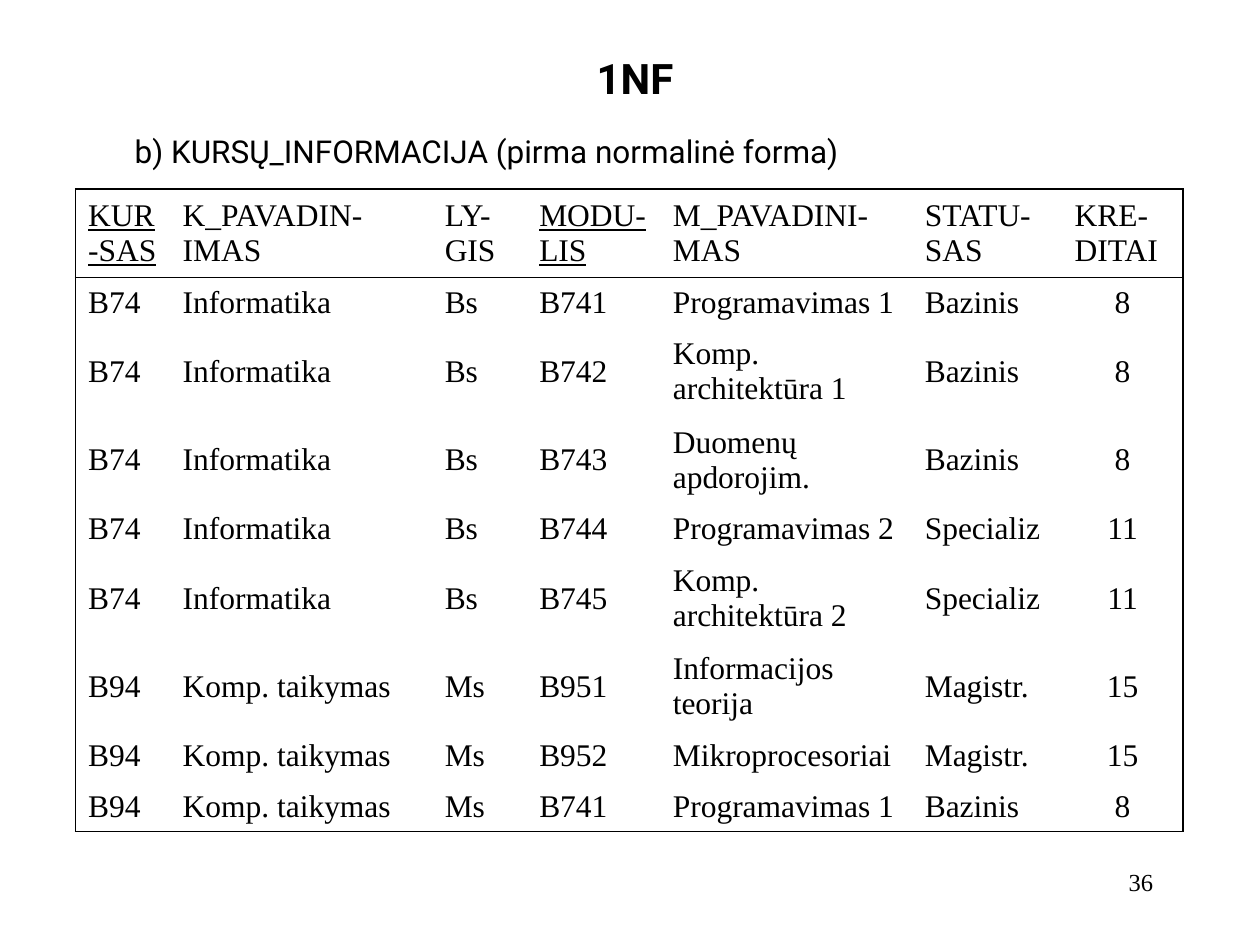
from lxml.etree import SubElement
from pptx import Presentation
from pptx.dml.color import RGBColor
from pptx.enum.text import MSO_ANCHOR, PP_ALIGN
from pptx.oxml.ns import qn
from pptx.util import Inches, Pt

# Content
INK = "000000"
SERIF, SANS = "Times New Roman", "Roboto"
HEAD = ["KUR-SAS", "K_PAVADIN-IMAS", "LY-GIS", "MODU- LIS",
        "M_PAVADINI-MAS", "STATU- SAS", "KRE- DITAI"]
KEYS = {0, 3}  # underlined key columns
INFO = ("B74", "Informatika", "Bs")
COMP = ("B94", "Komp. taikymas", "Ms")
ROWS = [
    (*INFO, "B741", "Programavimas 1", "Bazinis", "8"),
    (*INFO, "B742", "Komp. architektūra 1", "Bazinis", "8"),
    (*INFO, "B743", "Duomenų apdorojim.", "Bazinis", "8"),
    (*INFO, "B744", "Programavimas 2", "Specializ", "11"),
    (*INFO, "B745", "Komp. architektūra 2", "Specializ", "11"),
    (*COMP, "B951", "Informacijos teorija", "Magistr.", "15"),
    (*COMP, "B952", "Mikroprocesoriai", "Magistr.", "15"),
    (*COMP, "B741", "Programavimas 1", "Bazinis", "8"),
]
COLS = [0.75, 2.08, 0.75, 1.06, 2, 1.19, 0.96]
ONE, TWO = 0.4, 0.7  # heights of one-line and two-line rows
TALL = {0, 2, 3, 5, 6}
EDGE, RULE = 1.08, 0.45  # outer frame and header line, points
PLAIN = "{2D5ABB26-0587-4C30-8999-92F81FD0307C}"  # no style, no grid

# text, left, top, width, height, font, size, bold, alignment, anchor, wrap
TEXTS = [
    ("b) KURSŲ_INFORMACIJA (pirma normalinė forma)", 0.97, 1, 5.99, 0.4,
     SANS, 18, False, PP_ALIGN.LEFT, MSO_ANCHOR.TOP, False),
    ("1NF", 4.25, 0.33, 1.58, 0.58,
     SANS, 24, True, PP_ALIGN.CENTER, MSO_ANCHOR.MIDDLE, True),
    ("36", 7.17, 6.83, 2.08, 0.5,
     SERIF, 14, False, PP_ALIGN.RIGHT, MSO_ANCHOR.TOP, True),
]


def color(code):
    return RGBColor.from_string(code)


def style(para, face, size, bold=False, align=PP_ALIGN.LEFT):
    para.alignment = align
    font = para.font
    font.name, font.size, font.bold = face, Pt(size), bold
    font.color.rgb = color(INK)


def border(cell, sides):
    """Draw the sides with a width; leave the others empty."""
    props = cell._tc.get_or_add_tcPr()
    for side in "LRTB":
        width = sides.get(side, 0)
        line = SubElement(props, qn("a:ln" + side), w=str(int(Pt(width))))
        if width:
            fill = SubElement(line, qn("a:solidFill"))
            SubElement(fill, qn("a:srgbClr"), val=INK)
        else:
            SubElement(line, qn("a:noFill"))


prs = Presentation()
prs.slide_width, prs.slide_height = Inches(10), Inches(7.5)
slide = prs.slides.add_slide(prs.slide_layouts[6])

# Course table
data = [HEAD] + ROWS
highs = [TWO if r in TALL else ONE for r in range(len(data))]
frame = slide.shapes.add_table(
    len(data), len(COLS), Inches(0.6), Inches(1.5),
    Inches(sum(COLS)), Inches(sum(highs)))
table = frame.table
table.first_row = table.horz_banding = False
table._tbl.tblPr.find(qn("a:tableStyleId")).text = PLAIN
for col, width in zip(table.columns, COLS):
    col.width = Inches(width)
for row, high in zip(table.rows, highs):
    row.height = Inches(high)

end, last = len(data) - 1, len(COLS) - 1
for r, items in enumerate(data):
    for c, text in enumerate(items):
        cell = table.cell(r, c)
        cell.text = text
        cell.vertical_anchor = MSO_ANCHOR.MIDDLE
        para = cell.text_frame.paragraphs[0]
        para.space_before = Pt(4.5)
        mid = r > 0 and c == last
        style(para, SERIF, 18, align=PP_ALIGN.CENTER if mid else PP_ALIGN.LEFT)
        para.font.underline = r == 0 and c in KEYS
        border(cell, {
            "L": EDGE if c == 0 else 0,
            "R": EDGE if c == last else 0,
            "T": {0: EDGE, 1: RULE}.get(r, 0),
            "B": {0: RULE, end: EDGE}.get(r, 0),
        })
        cell.fill.background()

# Subtitle, title and page number
for text, x, y, w, h, face, size, bold, align, anchor, wrap in TEXTS:
    box = slide.shapes.add_textbox(*map(Inches, (x, y, w, h)))
    body = box.text_frame
    body.word_wrap, body.vertical_anchor = wrap, anchor
    body.text = text
    style(body.paragraphs[0], face, size, bold, align)

prs.save("out.pptx")
